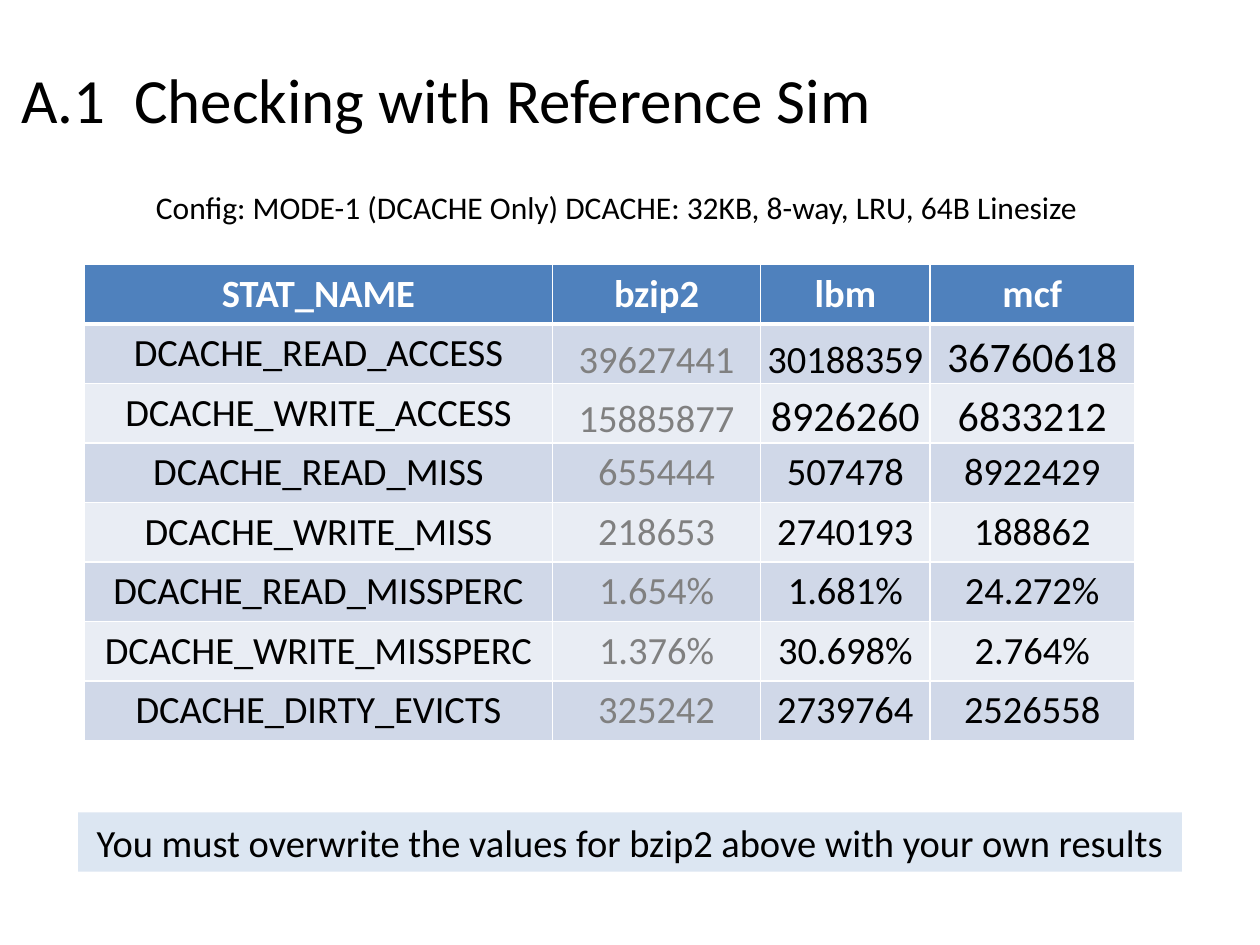
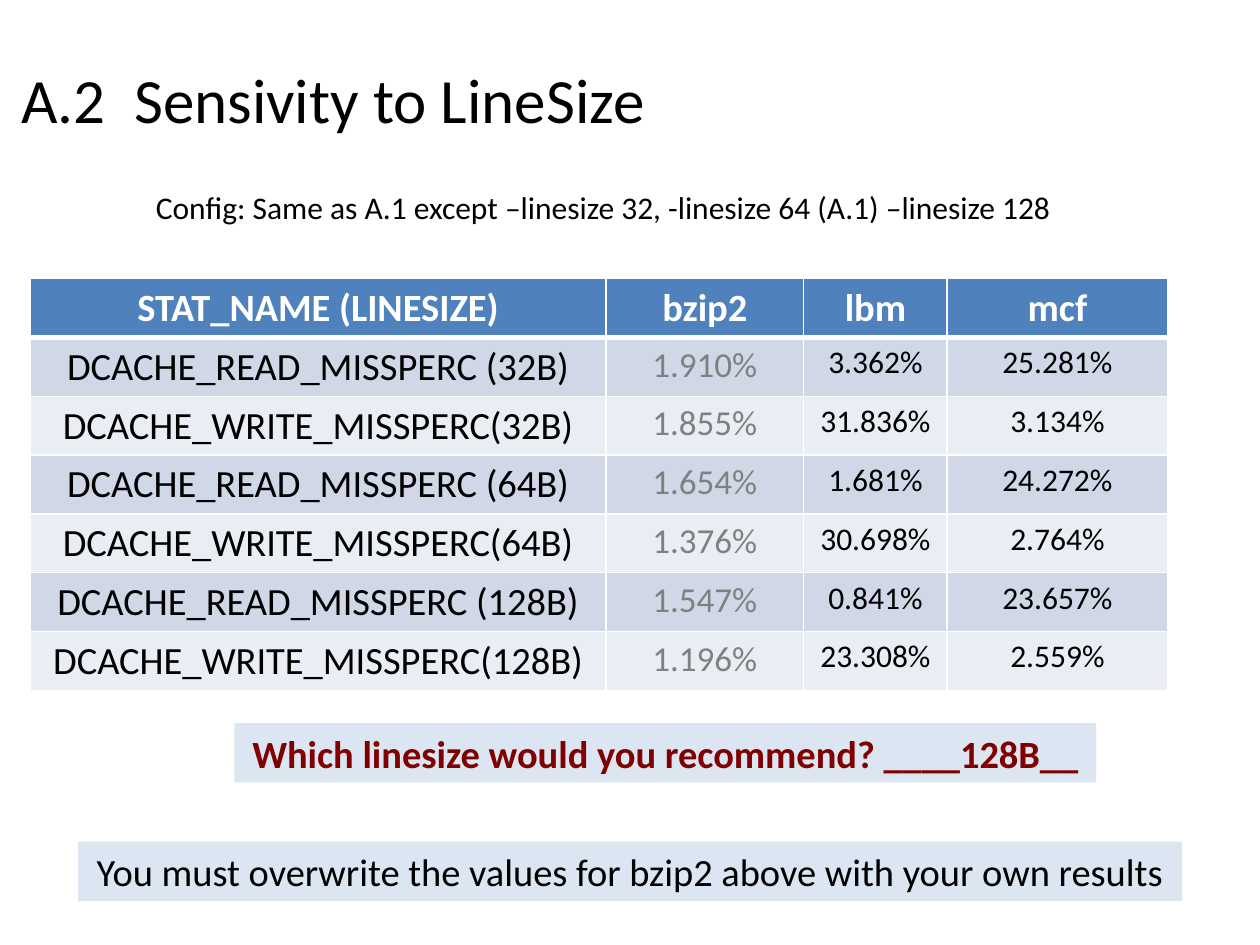
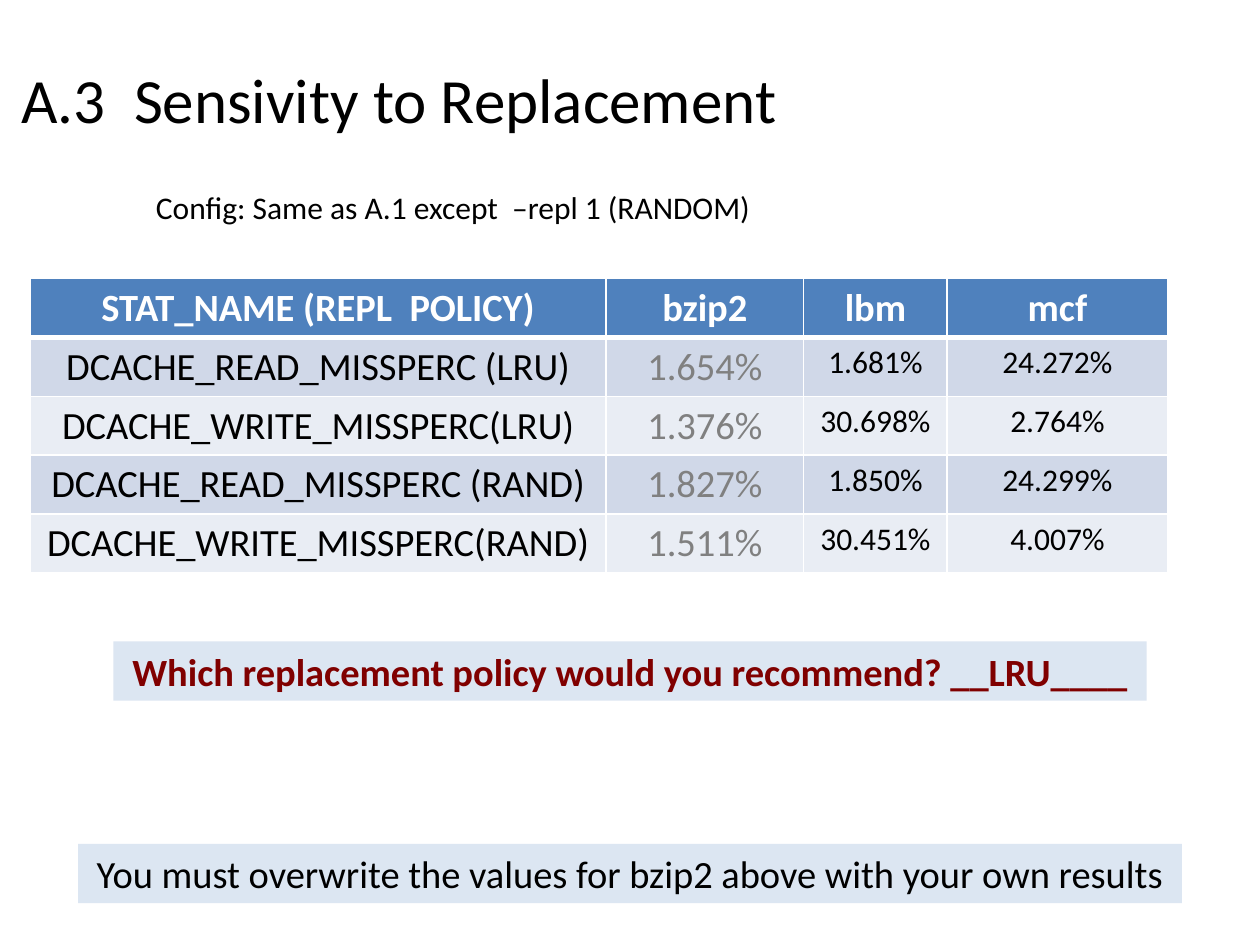
from pptx import Presentation
from pptx.dml.color import RGBColor
from pptx.enum.shapes import MSO_SHAPE as Preset
from pptx.enum.text import MSO_ANCHOR as Anchor, MSO_AUTO_SIZE as AutoSize, PP_ALIGN as Align
from pptx.oxml import parse_xml
from pptx.oxml.ns import nsdecls
from pptx.util import Pt

COLORS = {
    "ink": "000000",
    "paper": "FFFFFF",
    "header": "4F81BD",
    "odd_row": "D0D8E8",
    "even_row": "E9EDF4",
    "band": "DCE6F2",
    "sample": "808080",
    "question": "800000",
}
FONT = "Calibri"
BENCHMARKS = ["bzip2", "lbm", "mcf"]
REMINDER = "You must overwrite the values for bzip2 above with your own results"
SLIDE_WIDTH = 720
ROW_HEIGHT = 33.6
BAND_HEIGHT = 33.9


def rgb(color):
    return RGBColor.from_string(COLORS[color])


class Deck:
    def __init__(self):
        self.presentation = Presentation()
        self.presentation.slide_width = Pt(SLIDE_WIDTH)
        self.presentation.slide_height = Pt(540)
        self.slide = None

    def new_slide(self):
        self.slide = self.presentation.slides.add_slide(self.presentation.slide_layouts[6])

    def add_text(self, frame, text, size, color="ink", bold=False, align=Align.LEFT):
        paragraph = frame.paragraphs[0]
        paragraph.alignment = align
        run = paragraph.add_run()
        run.text = text
        run.font.name = FONT
        run.font.size = Pt(size)
        run.font.bold = bold
        run.font.color.rgb = rgb(color)

    def fit(self, frame):
        frame.word_wrap = False
        frame.auto_size = AutoSize.SHAPE_TO_FIT_TEXT

    def label(self, text, left, top, width, height, size):
        label = self.slide.shapes.add_textbox(Pt(left), Pt(top), Pt(width), Pt(height))
        self.fit(label.text_frame)
        self.add_text(label.text_frame, text, size)

    def title(self, text, width):
        self.label(text, 5, 31, width, 51, 36)

    def config(self, text, width):
        self.label(text, 82, 103.9, width, 29, 18)

    def band(self, text, top, width, left=None, color="ink", bold=False):
        if left is None:
            left = (SLIDE_WIDTH - width) / 2
        band = self.slide.shapes.add_shape(
            Preset.RECTANGLE, Pt(left), Pt(top), Pt(width), Pt(BAND_HEIGHT))
        band.shadow.inherit = False
        band.fill.solid()
        band.fill.fore_color.rgb = rgb("band")
        band.line.fill.background()
        self.fit(band.text_frame)
        self.add_text(band.text_frame, text, 22, color, bold, Align.CENTER)

    def reminder(self, top):
        self.band(REMINDER, top, 630.7)

    def question(self, text, top, width, left=None):
        self.band(text, top, width, left, "question", True)

    def borders(self, cell, row):
        widths = {"L": 1, "R": 1, "T": 3 if row == 1 else 1, "B": 3 if row == 0 else 1}
        properties = cell._tc.get_or_add_tcPr()
        for position, (side, width) in enumerate(widths.items()):
            properties.insert(position, parse_xml(
                f'<a:ln{side} {nsdecls("a")} w="{Pt(width)}"><a:solidFill>'
                f'<a:srgbClr val="{COLORS["paper"]}"/></a:solidFill></a:ln{side}>'))

    def stats(self, heading, records, left, top, widths, sizes, snug_rows=(), large_cells=()):
        rows = [[heading, *BENCHMARKS], *records]
        table = self.slide.shapes.add_table(
            len(rows), len(widths), Pt(left), Pt(top),
            Pt(sum(widths)), Pt(ROW_HEIGHT * len(rows))).table
        for column, width in zip(table.columns, widths):
            column.width = Pt(width)
        for r, values in enumerate(rows):
            table.rows[r].height = Pt(ROW_HEIGHT)
            for c, value in enumerate(values):
                cell = table.cell(r, c)
                if r == 0:
                    fill, color, size = "header", "paper", 22
                else:
                    fill = "odd_row" if r % 2 else "even_row"
                    color = "sample" if c == 1 else "ink"
                    size = 24 if (r, c) in large_cells else sizes[c]
                cell.fill.solid()
                cell.fill.fore_color.rgb = rgb(fill)
                self.borders(cell, r)
                if r in snug_rows and c > 0:
                    cell.vertical_anchor = Anchor.BOTTOM
                    cell.margin_left = cell.margin_right = cell.margin_top = Pt(0.72)
                    cell.margin_bottom = Pt(0)
                self.add_text(cell.text_frame, value, size, color, r == 0, Align.CENTER)


SENSITIVITY = {"left": 17.3, "top": 159.2, "widths": [329, 113, 82, 126]}

deck = Deck()

deck.new_slide()
deck.stats("STAT_NAME", [
    ["DCACHE_READ_ACCESS", "39627441", "30188359", "36760618"],
    ["DCACHE_WRITE_ACCESS", "15885877", "8926260", "6833212"],
    ["DCACHE_READ_MISS", "655444", "507478", "8922429"],
    ["DCACHE_WRITE_MISS", "218653", "2740193", "188862"],
    ["DCACHE_READ_MISSPERC", "1.654%", "1.681%", "24.272%"],
    ["DCACHE_WRITE_MISSPERC", "1.376%", "30.698%", "2.764%"],
    ["DCACHE_DIRTY_EVICTS", "325242", "2739764", "2526558"],
], 48.2, 151.2, [267.6, 118.8, 97, 116.6], [22] * 4,
    snug_rows=(1, 2), large_cells={(1, 3), (2, 2), (2, 3)})
deck.title("A.1  Checking with Reference Sim", 522.7)
deck.reminder(464.2)
deck.config("Config: MODE-1 (DCACHE Only) DCACHE: 32KB, 8-way, LRU, 64B Linesize", 558)

deck.new_slide()
deck.stats("STAT_NAME (LINESIZE)", [
    ["DCACHE_READ_MISSPERC (32B)", "1.910%", "3.362%", "25.281%"],
    ["DCACHE_WRITE_MISSPERC(32B)", "1.855%", "31.836%", "3.134%"],
    ["DCACHE_READ_MISSPERC (64B)", "1.654%", "1.681%", "24.272%"],
    ["DCACHE_WRITE_MISSPERC(64B)", "1.376%", "30.698%", "2.764%"],
    ["DCACHE_READ_MISSPERC (128B)", "1.547%", "0.841%", "23.657%"],
    ["DCACHE_WRITE_MISSPERC(128B)", "1.196%", "23.308%", "2.559%"],
], sizes=[22, 20, 18, 18], **SENSITIVITY)
deck.title("A.2  Sensivity to LineSize", 375.8)
deck.reminder(481)
deck.config("Config: Same as A.1 except –linesize 32, -linesize 64 (A.1) –linesize 128", 532.8)
deck.question("Which linesize would you recommend? ____128B__", 413.3, 492.5, left=134)

deck.new_slide()
deck.stats("STAT_NAME (REPL  POLICY)", [
    ["DCACHE_READ_MISSPERC (LRU)", "1.654%", "1.681%", "24.272%"],
    ["DCACHE_WRITE_MISSPERC(LRU)", "1.376%", "30.698%", "2.764%"],
    ["DCACHE_READ_MISSPERC (RAND)", "1.827%", "1.850%", "24.299%"],
    ["DCACHE_WRITE_MISSPERC(RAND)", "1.511%", "30.451%", "4.007%"],
], sizes=[22, 22, 18, 18], **SENSITIVITY)
deck.title("A.3  Sensivity to Replacement", 451.4)
deck.reminder(482.2)
deck.config("Config: Same as A.1 except  –repl 1 (RANDOM)", 363.6)
deck.question("Which replacement policy would you recommend? __LRU____", 366.5, 590.4)

deck.presentation.save("out.pptx")
